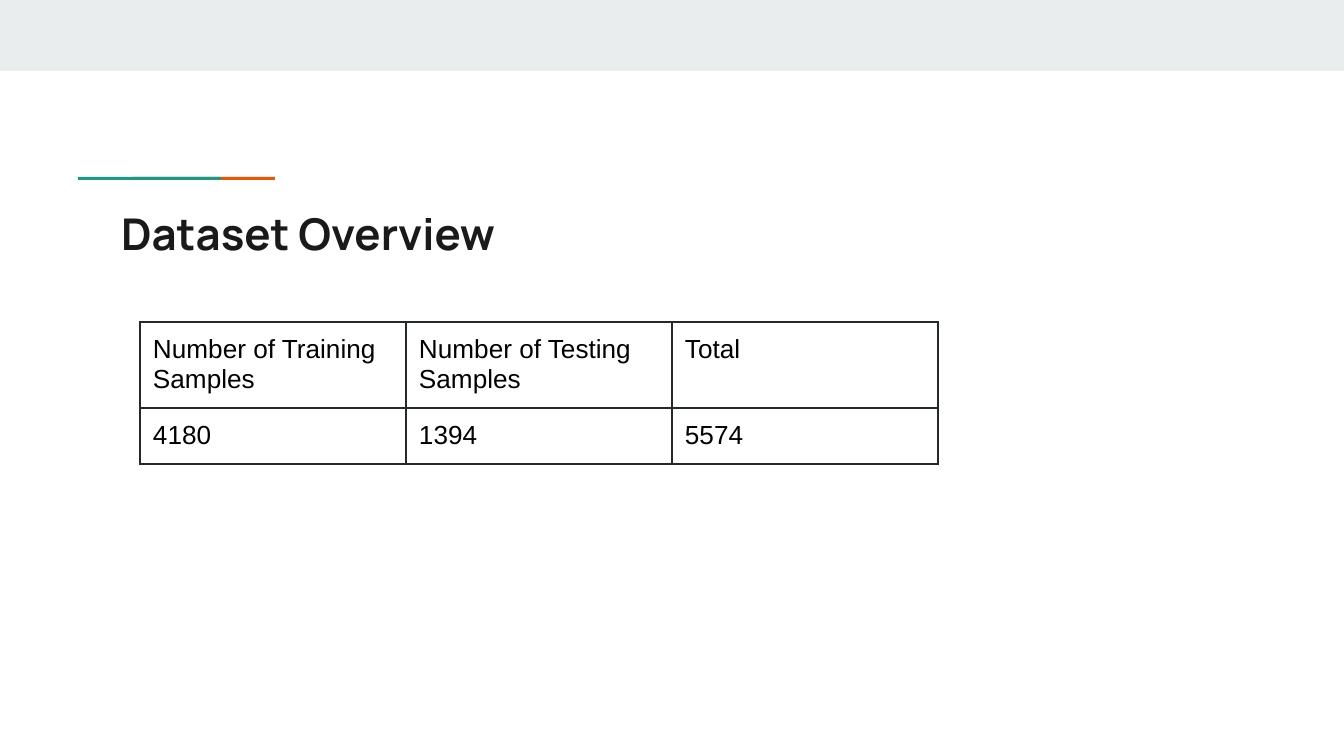
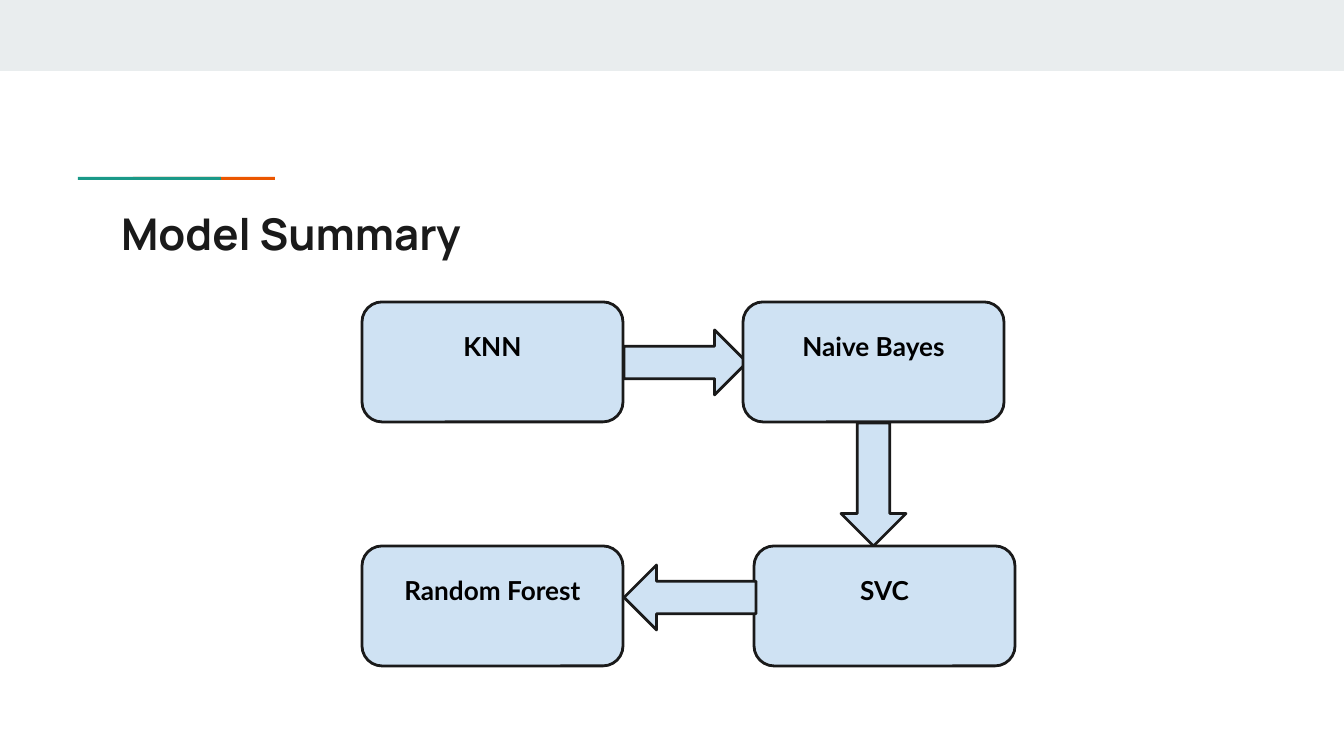
from dataclasses import dataclass

from lxml import etree
from pptx import Presentation
from pptx.dml.color import RGBColor
from pptx.enum.shapes import MSO_SHAPE
from pptx.enum.text import MSO_ANCHOR, MSO_AUTO_SIZE, PP_ALIGN
from pptx.oxml.ns import qn
from pptx.util import Emu, Pt

RECT = MSO_SHAPE.RECTANGLE
ROUND = MSO_SHAPE.ROUNDED_RECTANGLE
ARROW = MSO_SHAPE.RIGHT_ARROW
TOP, MIDDLE = MSO_ANCHOR.TOP, MSO_ANCHOR.MIDDLE
LEFT, CENTER = PP_ALIGN.LEFT, PP_ALIGN.CENTER
FIXED = MSO_AUTO_SIZE.NONE
SCALE = 914400 / 134.4
WIDTH, HEIGHT = 1344, 756
PAD = 13
GRAY, TEAL, ORANGE = "E9EDEE", "1A9988", "EB5600"
INK, BLACK, BLUE, GRID = "1A1A1A", "000000", "CFE2F3", "24292F"
BOX_W, BOX_H = 261, 120
ARROW_H = 65


@dataclass
class Bar:
    x: int
    y: int
    w: int
    h: int
    color: str


@dataclass
class Box:
    x: int
    y: int
    text: str


@dataclass
class Arrow:
    x: int
    y: int
    w: int
    turn: int


BARS = [
    Bar(0, 0, WIDTH, 71, GRAY),
    Bar(133, 177, 142, 3, ORANGE),
    Bar(78, 177, 143, 3, TEAL),
]
ROW_1, ROW_2 = 302, 546
FLOW = [
    Arrow(624, 330, 123, 0),
    Box(362, ROW_1, "KNN"),
    Arrow(812, 452, 123, 90),
    Box(743, ROW_1, "Naive Bayes"),
    Box(754, ROW_2, "SVC"),
    Box(362, ROW_2, "Random Forest"),
    Arrow(624, 565, 132, 180),
]
COUNTS = [
    ("Number of Training Samples", "Number of Testing Samples", "Total"),
    ("4180", "1394", "5574"),
]
COL_W, ROW_HS = 266, (86, 56)


def px(n: int) -> Emu:
    return Emu(round(n * SCALE))


def rgb(color: str) -> RGBColor:
    return RGBColor.from_string(color)


def write(frame, text: str, *, size: float = 14, font: str = "Arial",
          color: str = BLACK, bold: bool = False, align=LEFT,
          anchor=TOP, foot: int = PAD) -> None:
    frame.word_wrap = True
    frame.vertical_anchor = anchor
    frame.margin_left = frame.margin_right = frame.margin_top = px(PAD)
    frame.margin_bottom = px(foot)
    para = frame.paragraphs[0]
    para.alignment = align
    run = para.add_run()
    run.text = text
    run.font.size = Pt(size)
    run.font.name = font
    run.font.bold = bold
    run.font.color.rgb = rgb(color)


def draw(slide, kind, x: int, y: int, w: int, h: int, fill: str,
         line: str = ""):
    shape = slide.shapes.add_shape(kind, px(x), px(y), px(w), px(h))
    shape.shadow.inherit = False
    shape.fill.solid()
    shape.fill.fore_color.rgb = rgb(fill)
    if line:
        shape.line.color.rgb = rgb(line)
        shape.line.width = Pt(1.5)
    else:
        shape.line.fill.background()
    return shape


def start(deck, text: str):
    slide = deck.slides.add_slide(deck.slide_layouts[5])
    for bar in BARS:
        draw(slide, RECT, bar.x, bar.y, bar.w, bar.h, bar.color)
    title = slide.shapes.title
    title.left, title.top = px(108), px(194)
    title.width, title.height = px(1130), px(79)
    write(title.text_frame, text, size=23.4, font="Manrope", color=INK,
          bold=True)
    title.text_frame.auto_size = FIXED
    return slide


def edge(cell) -> None:
    props = cell._tc.get_or_add_tcPr()
    for spot, side in enumerate(("lnL", "lnR", "lnT", "lnB")):
        line = etree.Element(qn(f"a:{side}"), w=str(Pt(0.75)))
        fill = etree.SubElement(line, qn("a:solidFill"))
        etree.SubElement(fill, qn("a:srgbClr"), val=GRID)
        props.insert(spot, line)


def tally(slide) -> None:
    cols = len(COUNTS[0])
    table = slide.shapes.add_table(
        len(COUNTS), cols, px(140), px(322), px(COL_W * cols),
        px(sum(ROW_HS))).table
    table.first_row = table.horz_banding = False
    for col in table.columns:
        col.width = px(COL_W)
    for i, texts in enumerate(COUNTS):
        table.rows[i].height = px(ROW_HS[i])
        for j, text in enumerate(texts):
            cell = table.cell(i, j)
            cell.fill.background()
            cell.margin_left = cell.margin_right = px(PAD)
            cell.margin_top = cell.margin_bottom = px(PAD)
            write(cell.text_frame, text)
            edge(cell)


def chain(slide) -> None:
    for part in FLOW:
        if isinstance(part, Box):
            box = draw(slide, ROUND, part.x, part.y, BOX_W, BOX_H, BLUE, INK)
            write(box.text_frame, part.text, font="Lato", bold=True,
                  align=CENTER, anchor=MIDDLE, foot=44)
        else:
            arrow = draw(slide, ARROW, part.x, part.y, part.w, ARROW_H,
                         BLUE, INK)
            arrow.rotation = part.turn


def main() -> None:
    deck = Presentation()
    deck.slide_width, deck.slide_height = px(WIDTH), px(HEIGHT)
    tally(start(deck, "Dataset Overview"))
    chain(start(deck, "Model Summary"))
    deck.save("out.pptx")


if __name__ == "__main__":
    main()
